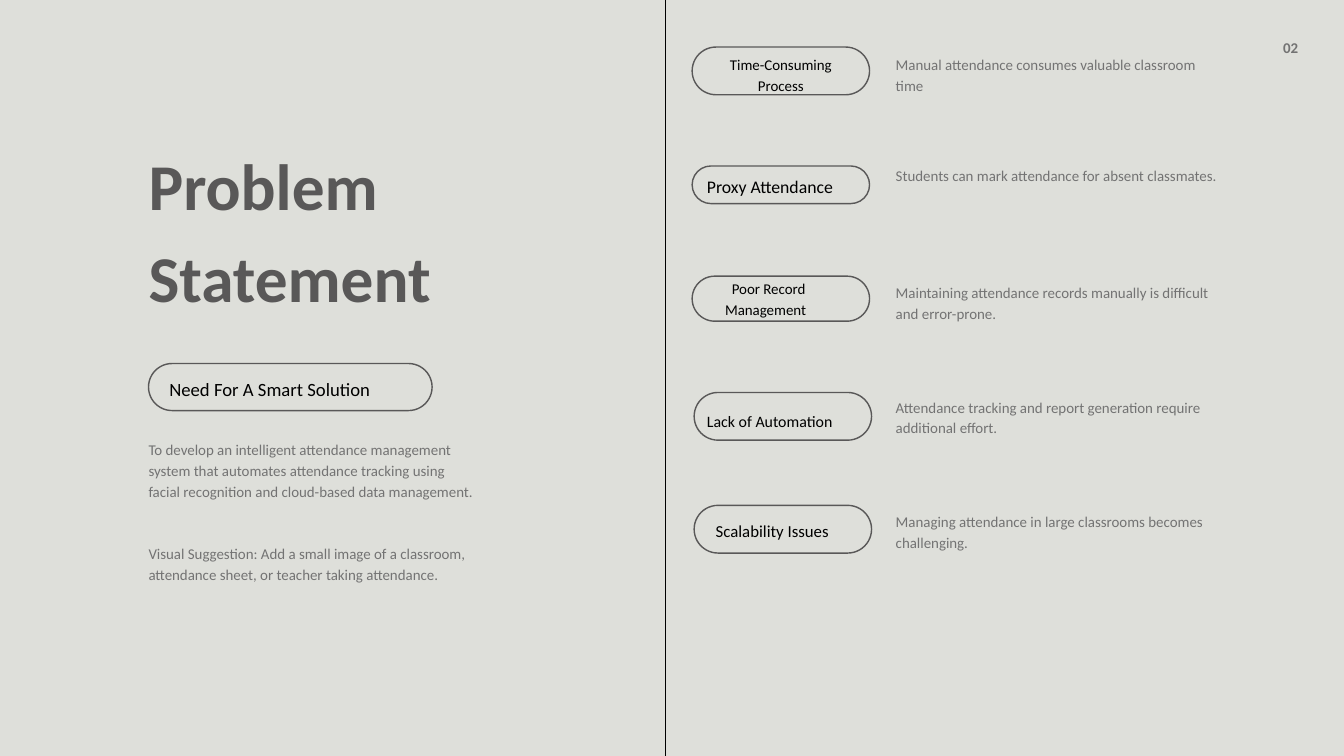
import dataclasses

import pptx
import pptx.dml.color
import pptx.enum.shapes
import pptx.enum.text
import pptx.oxml
import pptx.oxml.ns
import pptx.util

ALIGN = pptx.enum.text.PP_ALIGN


@dataclasses.dataclass(frozen=True)
class Theme:
    font: str = "Calibri"
    background: str = "DEDFDA"
    heading: str = "595858"
    body: str = "737373"
    label: str = "000000"
    title_size: int = 70
    body_size: int = 16
    subtitle_size: int = 20
    leading: float = 1.4
    title_leading: float = 1.4


THEME = Theme()

# The slide is a grid of 200 columns by 112.5 rows of square cells.
CELL = pptx.util.Inches(0.1)
COLUMNS, ROWS = 200, 112.5
LEFT_MARGIN = 22.1
DIVIDER = 99
PILL_WIDTH = 26.4
DETAIL_LEFT, DETAIL_WIDTH = 133.3, 48.4

# Pill: left, top, height. Label: left, top, width, size. Detail: top.
PROBLEMS = [
    dict(pill=(103, 7, 7.1), label=(106.5, 7.9, 19.4, 16), align=ALIGN.CENTER,
         name=["Time-Consuming Process"], detail_top=7.9,
         detail="Manual attendance consumes valuable classroom time"),
    dict(pill=(103, 24.7, 5.6), label=(105.2, 25.6, 22.7, 19),
         name=["Proxy Attendance"], detail_top=24.3,
         detail="Students can mark attendance for absent classmates."),
    dict(pill=(103, 41.1, 6.7), label=(107.9, 41.2, 17.3, 16), first_indent=1,
         name=["Poor Record", "Management"], detail_top=41.8,
         detail="Maintaining attendance records manually is difficult and error-prone."),
    dict(pill=(103.3, 58.4, 7.1), label=(105.2, 60.8, 26.4, 17),
         name=["Lack of Automation"], detail_top=58.8,
         detail="Attendance tracking and report generation require additional effort."),
    dict(pill=(103.3, 75.2, 7.1), label=(106.5, 77, 26.4, 18),
         name=["Scalability Issues"], detail_top=75.8,
         detail="Managing attendance in large classrooms becomes challenging."),
]


def cells(*counts):
    return [round(count * CELL) for count in counts]


def rgb(value):
    return pptx.dml.color.RGBColor.from_string(value)


def write_text(box, paragraphs, size=THEME.body_size, color=THEME.body, bold=False,
               align=ALIGN.LEFT, gap=0, first_indent=0):
    """Fill a box; gap is the space in points between its paragraphs."""
    frame = box.text_frame
    frame.word_wrap = True
    frame.auto_size = pptx.enum.text.MSO_AUTO_SIZE.NONE
    frame.vertical_anchor = pptx.enum.text.MSO_ANCHOR.TOP
    frame.margin_left = frame.margin_right = frame.margin_top = frame.margin_bottom = 0
    for index, text in enumerate(paragraphs):
        para = frame.add_paragraph() if index else frame.paragraphs[0]
        properties = para._p.get_or_add_pPr()
        properties.set("marL", str(cells(0 if index else first_indent)[0]))
        properties.set("indent", "0")
        pptx.oxml.ns.qn("a:buNone")
        properties.append(pptx.oxml.parse_xml(
            f"<a:buNone {pptx.oxml.ns.nsdecls('a')}/>"))
        para.alignment = align
        para.line_spacing = pptx.util.Pt(round(size * THEME.leading, 1))
        para.space_before = pptx.util.Pt(gap if index else 0)
        span = para.add_run()
        span.text = text
        span.font.name = THEME.font
        span.font.size = pptx.util.Pt(size)
        span.font.bold = bold
        span.font.color.rgb = rgb(color)


def add_text(page, place, paragraphs, **text_format):
    write_text(page.shapes.add_textbox(*cells(*place)), paragraphs, **text_format)


def fill_placeholder(box, place, paragraphs, **text_format):
    box.left, box.top, box.width, box.height = cells(*place)
    write_text(box, paragraphs, **text_format)


def add_pill(page, left, top, width, height):
    pill = page.shapes.add_shape(
        pptx.enum.shapes.MSO_SHAPE.ROUNDED_RECTANGLE, *cells(left, top, width, height))
    pill.adjustments[0] = 0.5
    pill.shadow.inherit = False
    pill.fill.background()
    pill.line.color.rgb = rgb(THEME.heading)
    pill.line.width = pptx.util.Pt(1.5)


def add_divider(page):
    line = page.shapes.add_connector(
        pptx.enum.shapes.MSO_CONNECTOR.STRAIGHT, *cells(DIVIDER, 0, DIVIDER, ROWS))
    line.line.color.rgb = rgb(THEME.label)
    line.line.width = pptx.util.Pt(0.75)
    line._element.spPr.append(pptx.oxml.parse_xml(
        f"<a:effectLst {pptx.oxml.ns.nsdecls('a')}/>"))


def add_problem(page, problem):
    pill_left, pill_top, pill_height = problem["pill"]
    left, top, width, size = problem["label"]
    add_pill(page, pill_left, pill_top, PILL_WIDTH, pill_height)
    add_text(page, (left, top, width, 6), problem["name"], size=size, color=THEME.label,
             align=problem.get("align", ALIGN.LEFT),
             first_indent=problem.get("first_indent", 0))
    add_text(page, (DETAIL_LEFT, problem["detail_top"], DETAIL_WIDTH, 6),
             [problem["detail"]])


def add_statement(page):
    title, body = page.placeholders
    fill_placeholder(title, (LEFT_MARGIN, 19.7, 61.1, 26.9), ["Problem Statement"],
                     size=THEME.title_size, color=THEME.heading, bold=True)
    fill_placeholder(body, (LEFT_MARGIN, 65.1, 48.4, 30.2), [
        "To develop an intelligent attendance management system that automates "
        "attendance tracking using facial recognition and cloud-based data management.",
        "Visual Suggestion: Add a small image of a classroom, attendance sheet, "
        "or teacher taking attendance.",
    ], gap=44.8)
    add_pill(page, LEFT_MARGIN, 54.1, 42.2, 7)
    add_text(page, (25.2, 55.7, 42.2, 3.8), ["Need For A Smart Solution"],
             size=THEME.subtitle_size, color=THEME.label)


def main():
    deck = pptx.Presentation()
    deck.slide_width, deck.slide_height = cells(COLUMNS, ROWS)
    page = deck.slides.add_slide(deck.slide_layouts[1])
    page.background.fill.solid()
    page.background.fill.fore_color.rgb = rgb(THEME.background)
    add_statement(page)
    add_divider(page)
    for problem in PROBLEMS:
        add_problem(page, problem)
    add_text(page, (190.4, 5.3, 2.8, 3), ["02"], bold=True, align=ALIGN.RIGHT)
    deck.save("out.pptx")


if __name__ == "__main__":
    main()
